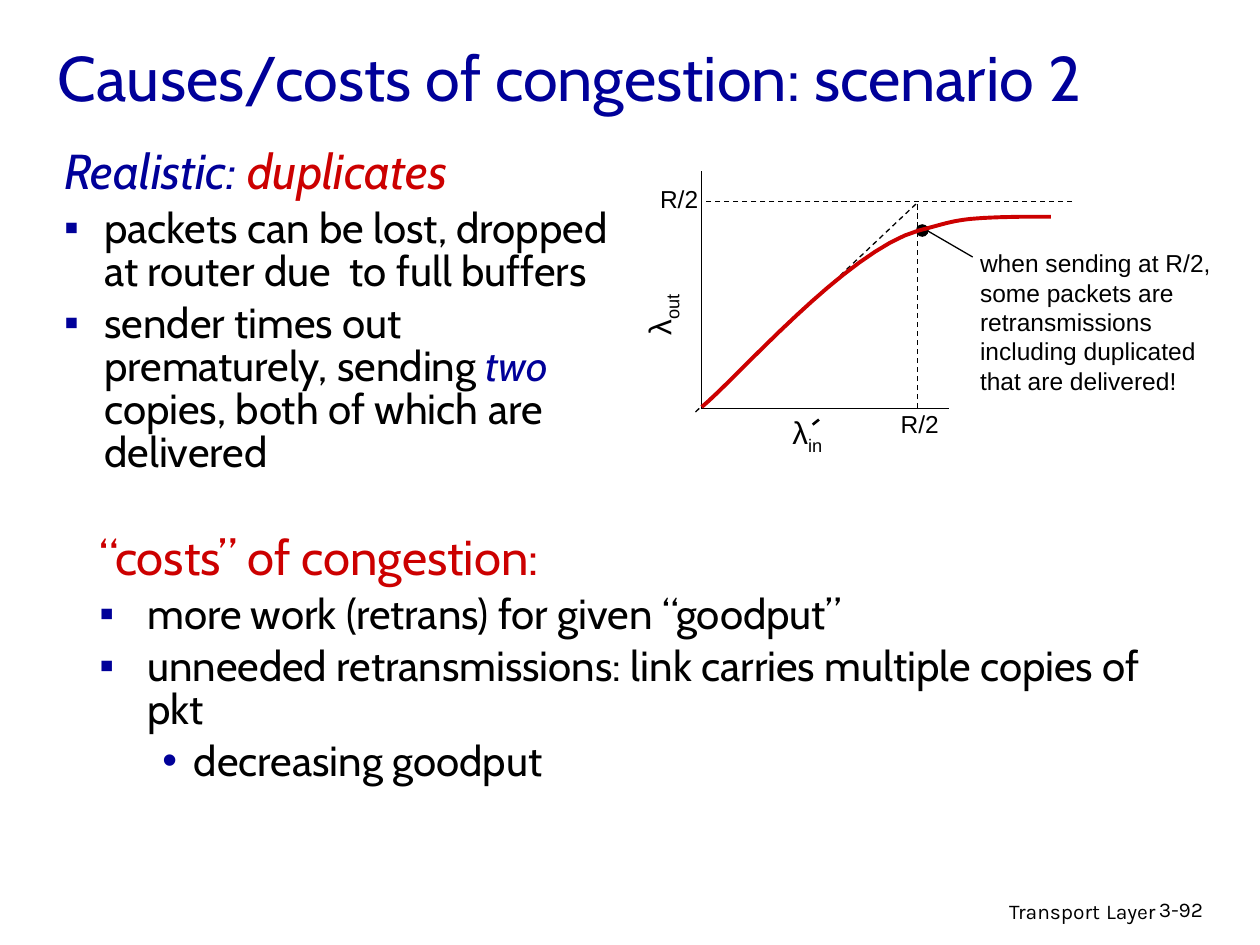
from dataclasses import dataclass

from lxml import etree
from pptx import Presentation
from pptx.dml.color import RGBColor
from pptx.enum.dml import MSO_LINE
from pptx.enum.shapes import MSO_CONNECTOR, MSO_SHAPE
from pptx.enum.text import MSO_ANCHOR, MSO_AUTO_SIZE, PP_ALIGN
from pptx.oxml.ns import qn
from pptx.util import Inches, Pt

STRAIGHT = MSO_CONNECTOR.STRAIGHT
ELLIPSE = MSO_SHAPE.OVAL
DASH = MSO_LINE.DASH
LEFT, RIGHT = PP_ALIGN.LEFT, PP_ALIGN.RIGHT
MIDDLE = MSO_ANCHOR.MIDDLE
NO_AUTOFIT = MSO_AUTO_SIZE.NONE
TITLE_ONLY = 5

SLIDE_WIDTH, SLIDE_HEIGHT = Inches(10), Inches(7.5)
COLUMNS, ROWS = 100, 75
CURVE_STEPS = 16

Point = tuple[float, float]


@dataclass(frozen=True)
class Theme:
    black: str = "000000"
    blue: str = "000099"
    red: str = "CC0000"
    body_font: str = "Cabin"
    label_font: str = "Arial"
    footer_font: str = "Karla"
    title_size: int = 36
    heading_size: int = 28
    body_size: int = 24
    symbol_size: int = 18
    label_size: int = 14
    footer_size: int = 12
    thin: float = 0.75
    medium: float = 1.5
    thick: float = 2.25
    line_spacing: float = 0.85
    space_before: float = 5.4


THEME = Theme()


@dataclass(frozen=True)
class Box:
    column: float
    row: float
    columns: float
    rows: float

    def place(self) -> tuple[int, int, int, int]:
        return (across(self.column), down(self.row),
                across(self.columns), down(self.rows))


@dataclass(frozen=True)
class Run:
    text: str
    size: int = THEME.body_size
    color: str = THEME.black
    font: str = THEME.body_font
    italic: bool = False
    subscript: bool = False


@dataclass(frozen=True)
class Item:
    runs: tuple[Run, ...]
    bullet: str = ""
    margin: float = 3.8
    hanging: float = 3.8
    level: int = 0


@dataclass(frozen=True)
class Label:
    box: Box
    runs: tuple[Run, ...]
    wrap: bool = False
    rotation: int = 0
    align: PP_ALIGN = LEFT


@dataclass(frozen=True)
class Stroke:
    start: Point
    end: Point
    width: float = THEME.thin
    dashed: bool = False
    arrow: bool = False


def across(columns: float) -> int:
    return round(SLIDE_WIDTH * columns / COLUMNS)


def down(rows: float) -> int:
    return round(SLIDE_HEIGHT * rows / ROWS)


def label_run(text: str, size: int = THEME.label_size, subscript: bool = False) -> Run:
    return Run(text, size, font=THEME.label_font, subscript=subscript)


def footer_run(text: str, size: int = THEME.footer_size) -> Run:
    return Run(text, size, font=THEME.footer_font)


def symbol(subscript: str) -> tuple[Run, ...]:
    return (label_run("λ", THEME.symbol_size),
            label_run(subscript, THEME.symbol_size, True))


def add_runs(paragraph, runs: tuple[Run, ...]) -> None:
    for item in runs:
        run = paragraph.add_run()
        run.text = item.text
        run.font.name = item.font
        run.font.size = Pt(item.size)
        run.font.italic = item.italic
        run.font.color.rgb = RGBColor.from_string(item.color)
        if item.subscript:
            run.font._element.set("baseline", "-25000")


def add_label(slide, label: Label) -> None:
    shape = slide.shapes.add_textbox(*label.box.place())
    shape.rotation = label.rotation
    shape.text_frame.word_wrap = label.wrap
    paragraph = shape.text_frame.paragraphs[0]
    paragraph.alignment = label.align
    add_runs(paragraph, label.runs)


def add_list(slide, box: Box, items: tuple[Item, ...]) -> None:
    frame = slide.shapes.add_textbox(*box.place()).text_frame
    frame.word_wrap = True
    for index, item in enumerate(items):
        paragraph = frame.add_paragraph() if index else frame.paragraphs[0]
        properties = paragraph._p.get_or_add_pPr()
        properties.set("marL", str(across(item.margin)))
        properties.set("indent", str(-across(item.hanging)))
        if item.bullet:
            color = etree.SubElement(properties, qn("a:buClr"))
            etree.SubElement(color, qn("a:srgbClr")).set("val", THEME.blue)
            etree.SubElement(properties, qn("a:buFont")).set("typeface", THEME.label_font)
            etree.SubElement(properties, qn("a:buChar")).set("char", item.bullet)
        paragraph.level = item.level
        paragraph.line_spacing = THEME.line_spacing
        paragraph.space_before = Pt(THEME.space_before if index else 0)
        add_runs(paragraph, item.runs)


def add_stroke(slide, stroke: Stroke) -> None:
    (x1, y1), (x2, y2) = stroke.start, stroke.end
    connector = slide.shapes.add_connector(
        STRAIGHT, across(x1), down(y1), across(x2), down(y2))
    connector.line.width = Pt(stroke.width)
    connector.line.color.rgb = RGBColor.from_string(THEME.black)
    if stroke.dashed:
        connector.line.dash_style = DASH
    if stroke.arrow:
        line = connector.line._get_or_add_ln()
        etree.SubElement(line, qn("a:tailEnd")).set("type", "triangle")
    etree.SubElement(connector._element.spPr, qn("a:effectLst"))


def bezier(points: tuple[Point, ...], t: float) -> Point:
    weights = ((1 - t) ** 3, 3 * t * (1 - t) ** 2, 3 * t * t * (1 - t), t ** 3)
    return (sum(w * x for w, (x, _) in zip(weights, points)),
            sum(w * y for w, (_, y) in zip(weights, points)))


def add_curve(slide, knots: tuple[Point, ...]) -> None:
    points = [bezier(knots[first:first + 4], step / CURVE_STEPS)
              for first in range(0, len(knots) - 1, 3)
              for step in range(1, CURVE_STEPS + 1)]
    builder = slide.shapes.build_freeform(across(knots[0][0]), down(knots[0][1]))
    builder.add_line_segments([(across(x), down(y)) for x, y in points], close=False)
    curve = builder.convert_to_shape()
    curve.shadow.inherit = False
    curve.fill.background()
    curve.line.width = Pt(THEME.thick)
    curve.line.color.rgb = RGBColor.from_string(THEME.red)


def add_dot(slide, box: Box) -> None:
    dot = slide.shapes.add_shape(ELLIPSE, *box.place())
    dot.shadow.inherit = False
    dot.fill.solid()
    dot.fill.fore_color.rgb = RGBColor.from_string(THEME.black)
    dot.line.fill.background()


def set_title(slide, box: Box, text: str) -> None:
    title = slide.shapes.title
    title.left, title.top, title.width, title.height = box.place()
    title.text_frame.auto_size = NO_AUTOFIT
    title.text_frame.vertical_anchor = MIDDLE
    paragraph = title.text_frame.paragraphs[0]
    paragraph.alignment = LEFT
    add_runs(paragraph, (Run(text, THEME.title_size, THEME.blue),))


LABELS = (
    Label(Box(61, 70.5, 31.7, 3.1), (footer_run("Transport"), footer_run(" ", THEME.label_size),
                                     footer_run("Layer")), True, align=RIGHT),
    Label(Box(91, 70.7, 7.4, 3), (footer_run("3-92"),), True),
    Label(Box(51.4, 14.1, 5, 3.3), (label_run("R/2"),)),
    Label(Box(70.5, 32, 5, 3.3), (label_run("R/2"),)),
    Label(Box(48.9, 22.2, 6.8, 4), symbol("out"), True, 270),
    Label(Box(61.9, 32.3, 4.7, 4), symbol("in")),
    Label(Box(76.8, 19.2, 20.6, 12.6), (label_run(
        "when sending at R/2, some packets are retransmissions "
        "including duplicated that are delivered!"),), True),
)
STROKES = (
    Stroke((55.7, 13.6), (55.7, 32.4)),
    Stroke((75.3, 32.4), (55.6, 32.4)),
    Stroke((85.1, 16), (55.6, 16), dashed=True),
    Stroke((55.2, 32.7), (72.9, 16), dashed=True),
    Stroke((72.8, 32.4), (72.8, 16.2), dashed=True),
    Stroke((77.2, 20.4), (72.9, 17.9), arrow=True),
    Stroke((64.5, 33.7), (65, 33.3), THEME.medium),
)
THROUGHPUT = ((55.7, 32.3), (58.5, 30), (67.2, 19.9), (72.9, 18.3), (76, 17.5),
              (75.8, 17.3), (81.1, 17.2), (83.4, 17.2), (82.9, 17.2), (83.4, 17.2))
REALISTIC = (
    Item((Run("Realistic: ", THEME.heading_size, THEME.blue, italic=True),
          Run("duplicates", THEME.heading_size, THEME.red, italic=True))),
    Item((Run("packets can be lost, dropped at router due  to full buffers"),), "▪", 3.2, 3.2),
    Item((Run("sender times out prematurely, sending "),
          Run("two ", color=THEME.blue, italic=True),
          Run("copies, both of which are delivered")), "▪", 3.2, 3.2),
)
COSTS = (
    Item((Run("“costs” of congestion:", THEME.heading_size, THEME.red),)),
    Item((Run("more work (retrans) for given “goodput”"),), "▪"),
    Item((Run("unneeded retransmissions: link carries multiple copies of pkt"),), "▪"),
    Item((Run("decreasing goodput"),), "•", 7.5, 2.5, 1),
)


def main() -> None:
    presentation = Presentation()
    presentation.slide_width, presentation.slide_height = SLIDE_WIDTH, SLIDE_HEIGHT
    slide = presentation.slides.add_slide(presentation.slide_layouts[TITLE_ONLY])
    set_title(slide, Box(3.6, 1.3, 85, 9.5), "Causes/costs of congestion: scenario 2")
    for stroke in STROKES:
        add_stroke(slide, stroke)
    add_dot(slide, Box(72.7, 17.8, 1, 1))
    add_curve(slide, THROUGHPUT)
    for label in LABELS:
        add_label(slide, label)
    add_list(slide, Box(6.9, 42, 89.1, 10.8), COSTS)
    add_list(slide, Box(4.1, 11.4, 47.1, 21), REALISTIC)
    presentation.save("out.pptx")


if __name__ == "__main__":
    main()
